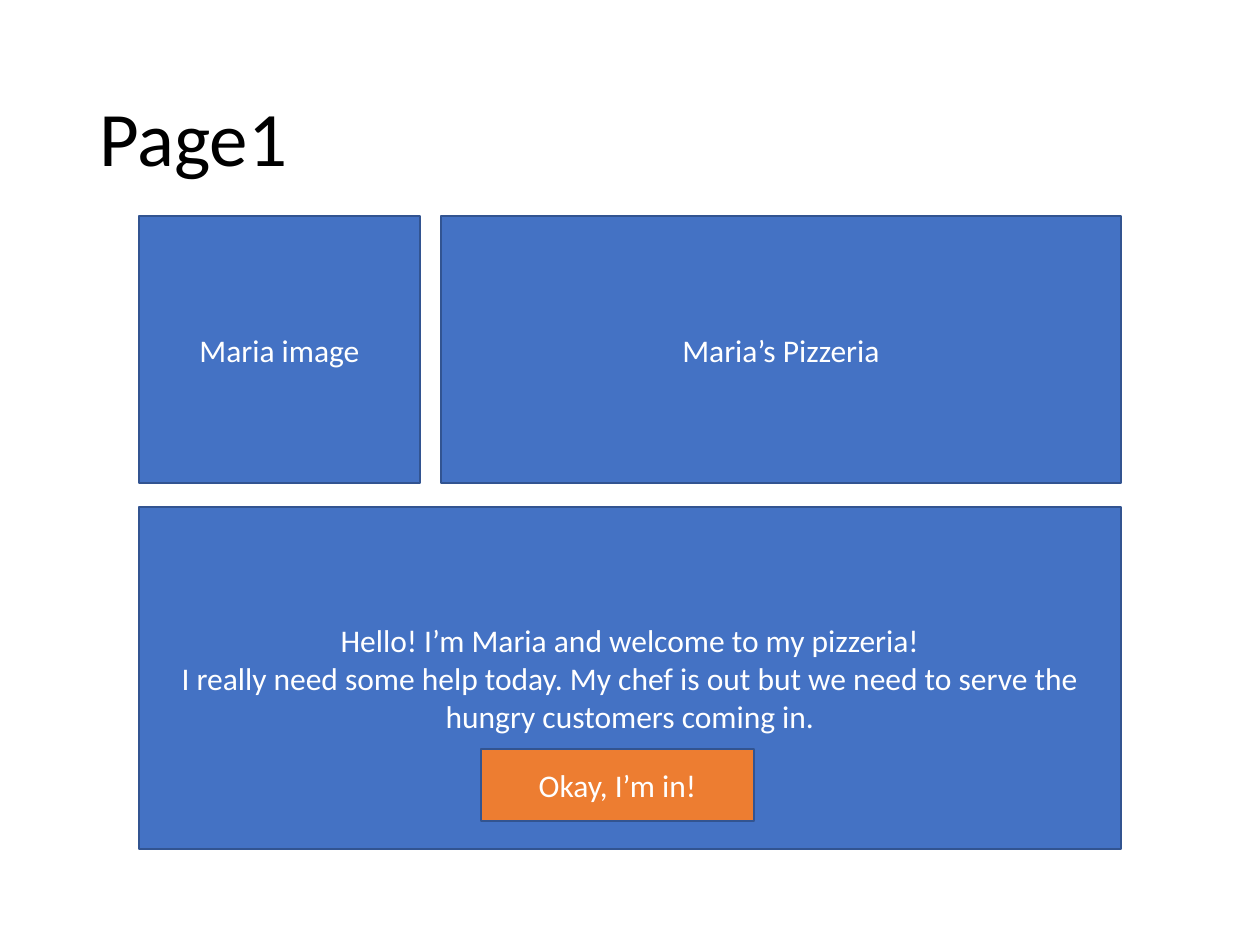
from dataclasses import dataclass

from pptx import Presentation
from pptx import util as u
from pptx.dml.color import RGBColor
from pptx.enum import shapes, text

SCALE = 914400 // 126  # EMU per pixel


@dataclass(frozen=True)
class Theme:
    """Colours, font and type sizes of the slide."""
    blue: str = "4472C4"
    orange: str = "ED7D31"
    edge: str = "325491"
    dark: str = "000000"
    light: str = "FFFFFF"
    font: str = "Calibri"
    head: int = 44
    body: int = 18


@dataclass(frozen=True)
class Box:
    """A filled panel: place in pixels, wording and fill."""
    left: int
    top: int
    width: int
    height: int
    words: str
    fill: str


THEME = Theme()


def px(count: int) -> u.Emu:
    """Turn pixels into EMU."""
    return u.Emu(count * SCALE)


def write(shape, words: str, size: int, color: str, align) -> None:
    """Set the text of a shape and format every run."""
    frame = shape.text_frame
    frame.word_wrap = True
    frame.vertical_anchor = text.MSO_ANCHOR.MIDDLE
    frame.text = words
    for para in frame.paragraphs:
        para.alignment = align
        for run in para.runs:
            run.font.name = THEME.font
            run.font.size = u.Pt(size)
            run.font.color.rgb = RGBColor.from_string(color)


def title(slide, words: str) -> None:
    """Add the page title."""
    shape = slide.shapes.add_textbox(px(87), px(50), px(1086), px(183))
    write(shape, words, THEME.head, THEME.dark, text.PP_ALIGN.LEFT)
    shape.text_frame.paragraphs[0].line_spacing = 0.9


def panel(slide, box: Box) -> None:
    """Draw one outlined panel with centred text."""
    shape = slide.shapes.add_shape(
        shapes.MSO_SHAPE.RECTANGLE,
        px(box.left), px(box.top), px(box.width), px(box.height))
    shape.shadow.inherit = False
    shape.fill.solid()
    shape.fill.fore_color.rgb = RGBColor.from_string(box.fill)
    shape.line.color.rgb = RGBColor.from_string(THEME.edge)
    shape.line.width = u.Pt(1)
    write(shape, box.words, THEME.body, THEME.light, text.PP_ALIGN.CENTER)


LEFT, TOP, WIDTH, HIGH = 139, 216, 982, 267
PHOTO, GAP = 281, 21
NAME = PHOTO + GAP
SPEECH = (
    "Hello! I’m Maria and welcome to my pizzeria!\n"
    "I really need some help today. My chef is out but we need to serve "
    "the hungry customers coming in."
)
BOXES = [
    Box(LEFT, TOP, PHOTO, HIGH, "Maria image", THEME.blue),
    Box(LEFT + NAME, TOP, WIDTH - NAME, HIGH, "Maria’s Pizzeria", THEME.blue),
    Box(LEFT, 507, WIDTH, 342, SPEECH, THEME.blue),
    Box(481, 749, 273, 72, "Okay, I’m in!", THEME.orange),
]


def main() -> None:
    """Build and save the slide."""
    deck = Presentation()
    deck.slide_width, deck.slide_height = u.Inches(10), u.Inches(7.5)
    slide = deck.slides.add_slide(deck.slide_layouts[6])
    title(slide, "Page1")
    for box in BOXES:
        panel(slide, box)
    deck.save("out.pptx")


main()
